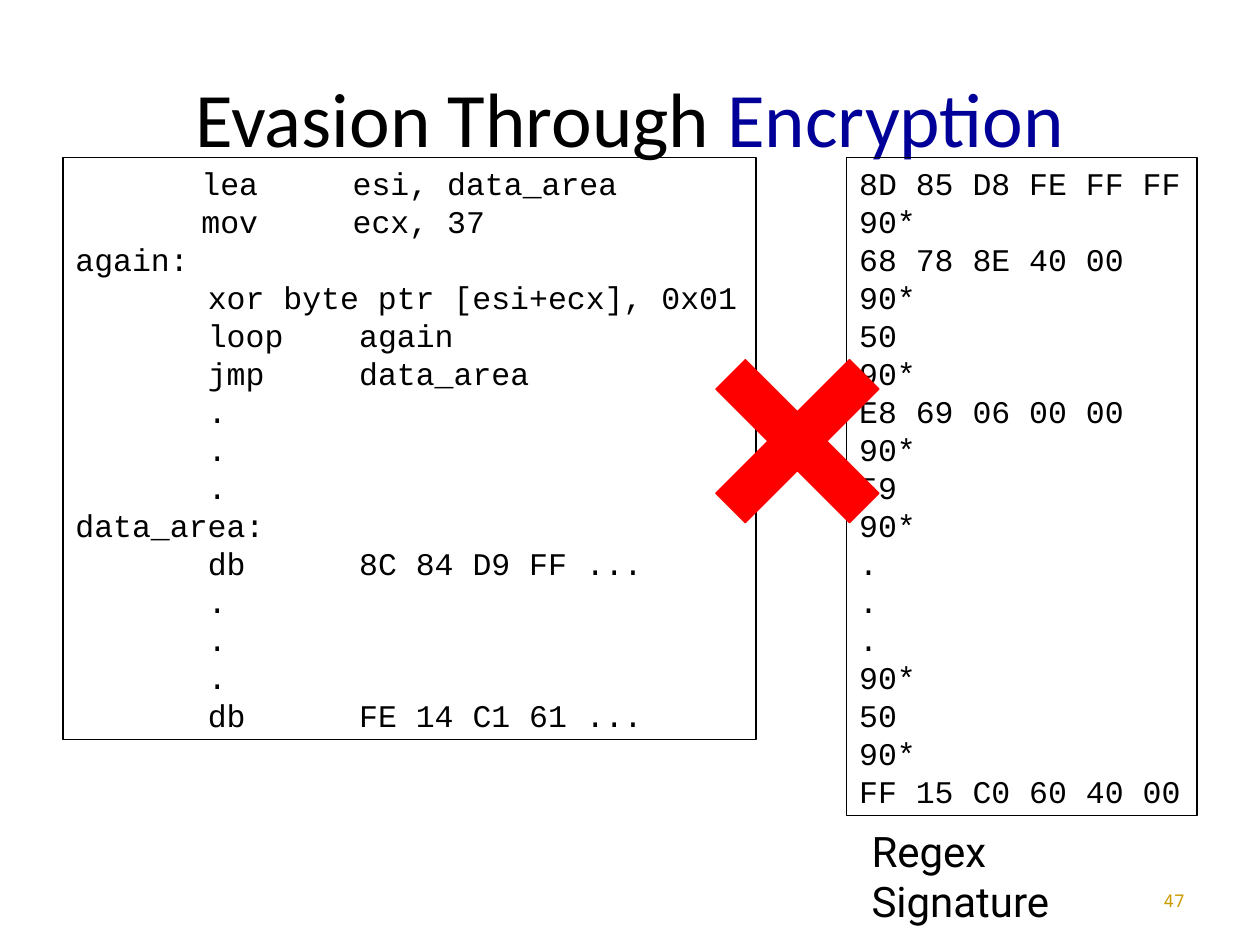
from lxml import etree
from pptx import Presentation
from pptx import util as u
from pptx.dml.color import RGBColor
from pptx.enum import shapes, text
from pptx.oxml.ns import qn

COLORS = {"black": "000000", "navy": "000099", "gold": "C99900", "red": "FF0000"}


def add_run(p, words, size, font, color="black"):
    r = p.add_run()
    r.text = words
    r.font.size = u.Pt(size)
    r.font.name = font
    r.font.color.rgb = RGBColor.from_string(COLORS[color])


def add_code_box(s, left, width, height, lines, wrap):
    sp = s.shapes.add_shape(shapes.MSO_SHAPE.RECTANGLE, u.Cm(left), u.Cm(3.18), u.Cm(width), u.Cm(height))
    sp.shadow.inherit = False
    sp.fill.background()
    sp.line.color.rgb = RGBColor.from_string(COLORS["black"])
    sp.line.width = u.Pt(0.75)
    tf = sp.text_frame
    tf.word_wrap = wrap
    tf.auto_size = text.MSO_AUTO_SIZE.SHAPE_TO_FIT_TEXT
    tf.vertical_anchor = text.MSO_ANCHOR.TOP
    for i, (line, stops) in enumerate(lines):
        p = tf.paragraphs[0] if i == 0 else tf.add_paragraph()
        p.alignment = text.PP_ALIGN.LEFT
        p.line_spacing = u.Pt(21.7)
        if stops:
            tabs = etree.SubElement(p._p.get_or_add_pPr(), qn("a:tabLst"))
            for stop in stops:
                etree.SubElement(tabs, qn("a:tab"), pos=str(u.Cm(stop)), algn="l")
        add_run(p, line, 18, "Courier New")


prs = Presentation()
prs.slide_width, prs.slide_height = u.Cm(25.4), u.Cm(19.05)
s = prs.slides.add_slide(prs.slide_layouts[5])

number = s.shapes.add_textbox(u.Cm(18.21), u.Cm(17.65), u.Cm(5.92), u.Cm(1.02))
tf = number.text_frame
tf.word_wrap = True
tf.vertical_anchor = text.MSO_ANCHOR.MIDDLE
p = tf.paragraphs[0]
p.alignment = text.PP_ALIGN.RIGHT
add_run(p, "47", 10, "Noto Sans Mono", "gold")

title = s.shapes.title
title.left, title.top, title.width, title.height = u.Cm(1.27), u.Cm(0.76), u.Cm(22.86), u.Cm(3.18)
tf = title.text_frame
tf.vertical_anchor = text.MSO_ANCHOR.MIDDLE
p = tf.paragraphs[0]
p.alignment = text.PP_ALIGN.CENTER
add_run(p, "Evasion Through ", 44, "Calibri")
add_run(p, "Encryption", 44, "Calibri", "navy")

signature = [
    "8D 85 D8 FE FF FF", "90*", "68 78 8E 40 00", "90*", "50", "90*",
    "E8 69 06 00 00", "90*", "59", "90*", ".", ".", ".", "90*", "50", "90*",
    "FF 15 C0 60 40 00",
]
add_code_box(s, 17.07, 7.06, 13.26, [(line, ()) for line in signature], False)

label = s.shapes.add_textbox(u.Cm(17.32), u.Cm(16.51), u.Cm(6.4), u.Cm(1.27))
label.text_frame.word_wrap = True
add_run(label.text_frame.paragraphs[0], "Regex Signature", 24, "Roboto")

setup = ["\tlea\tesi, data_area", "\tmov\tecx, 37"]
body = [
    "again:", "\txor byte ptr [esi+ecx], 0x01", "\tloop\tagain", "\tjmp\tdata_area",
    "\t.", "\t.", "\t.", "data_area:", "\tdb\t8C 84 D9 FF ...",
    "\t.", "\t.", "\t.", "\tdb\tFE 14 C1 61 ...",
]
code = [(line, (2.54, 5.59)) for line in setup] + [(line, (2.67, 5.72)) for line in body]
add_code_box(s, 1.27, 13.97, 11.73, code, True)

cross = s.shapes.add_shape(shapes.MSO_SHAPE.CROSS, u.Cm(14.17), u.Cm(6.99), u.Cm(3.81), u.Cm(3.81))
cross.adjustments[0] = 0.39
cross.rotation = 45
cross.shadow.inherit = False
cross.fill.solid()
cross.fill.fore_color.rgb = RGBColor.from_string(COLORS["red"])
cross.line.color.rgb = RGBColor.from_string(COLORS["red"])
cross.line.width = u.Pt(0.75)

prs.save("out.pptx")
